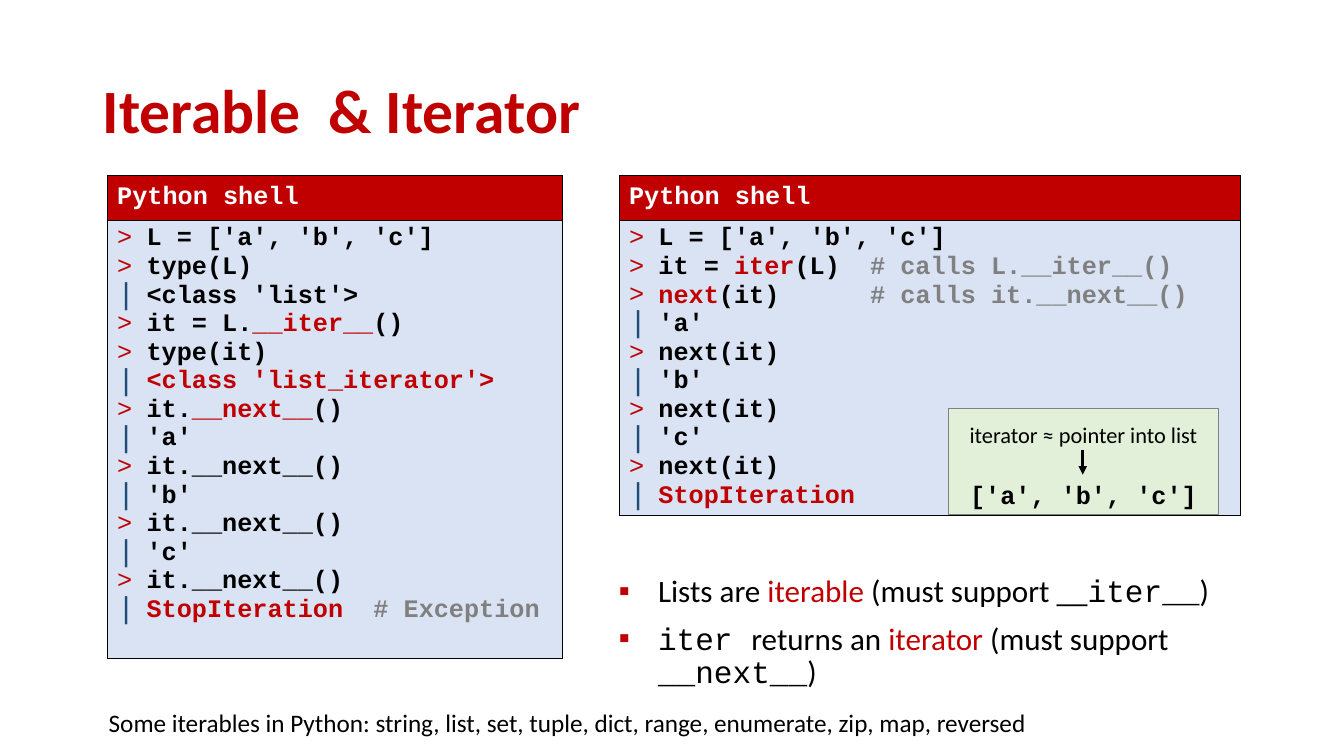
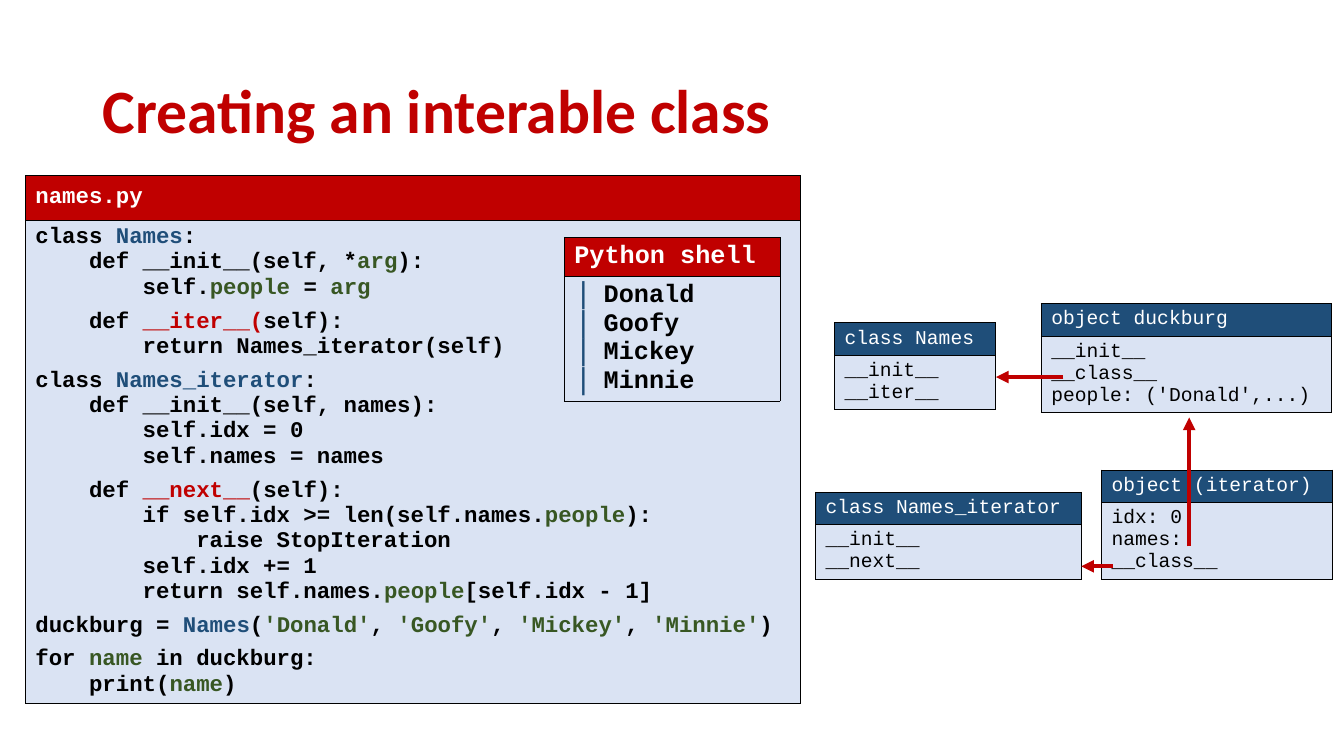
"""Build two slides on Python iterables and iterators."""
from lxml.etree import SubElement
from pptx import Presentation
from pptx.dml.color import RGBColor
from pptx.enum.shapes import MSO_CONNECTOR as Connector, MSO_SHAPE as Preset
from pptx.enum.text import MSO_ANCHOR as Anchor, MSO_AUTO_SIZE as AutoSize, PP_ALIGN as Align
from pptx.oxml.ns import qn
from pptx.util import Cm, Pt

SANS, MONO = "Calibri", "Courier New"
COLOURS = {"black": "000000", "white": "FFFFFF", "red": "C00000", "blue": "1F4E79",
           "green": "385723", "grey": "808080", "pale": "DAE3F3", "mint": "E2F0D9"}
PROMPTS = {">": ("red", 100), "|": ("blue", 120)}
BLOCK_GAP = 6
CM_PER_POINT = 2.54 / 72
MONO_LINE = 1.133
CELL_PADDING = 0.25

LIST_SHELL = """> L = ['a', 'b', 'c']
> type(L)
| <class 'list'>
> it = L.{red|__iter__}()
> type(it)
| {red|<class 'list_iterator'>}
> it.{red|__next__}()
| 'a'
> it.__next__()
| 'b'
> it.__next__()
| 'c'
> it.__next__()
| {red|StopIteration  }{grey|# Exception}"""

ITER_SHELL = """> L = ['a', 'b', 'c']
> it = {red|iter}(L)  {grey|# calls L.__iter__()}
> {red|next}(it)      {grey|# calls it.__next__()}
| 'a'
> next(it)
| 'b'
> next(it)
| 'c'
> next(it)
| {red|StopIteration}"""

NAMES_CODE = """class {blue|Names}:
    def __init__(self, *{green|arg}):
        self.{green|people} = {green|arg}

    def {red|__iter__(}self):
        return Names_iterator(self)

class {blue|Names_iterator}:
    def __init__(self, names):
        self.idx = 0
        self.names = names

    def {red|__next__}(self):
        if self.idx >= len(self.names.{green|people}):
            raise StopIteration
        self.idx += 1
        return self.names.{green|people}[self.idx - 1]

duckburg = {blue|Names}({green|'Donald'}, {green|'Goofy'}, {green|'Mickey'}, {green|'Minnie'})

for {green|name} in duckburg:
    print({green|name})"""

NAMES_SHELL = "| Donald\n| Goofy\n| Mickey\n| Minnie"

BULLETS = ["Lists are {red|iterable} (must support __{code|iter__})",
           "{code|iter }returns an {red|iterator }(must support {code|__next__})"]

OBJECTS = [
    (21.03, 8.13, 4.06, "class Names", "__init__\n__iter__"),
    (26.24, 7.65, 7.32, "object duckburg", "__init__\n__class__\npeople: ('Donald',...)"),
    (20.55, 12.4, 6.71, "class Names_iterator", "__init__\n__next__"),
    (27.76, 11.84, 5.82, "object (iterator)", "idx: 0\nnames:\n__class__"),
]
LINKS = [((29.97, 13.77), (29.97, 10.52)),
         ((26.8, 9.5), (25.1, 9.5)),
         ((28.04, 14.27), (27.25, 14.27))]


def rgb(name):
    """Return the named colour as an RGBColor."""
    return RGBColor.from_string(COLOURS[name])


def split_markup(markup):
    """Yield (words, style) pairs from text marked as {style|words}."""
    for piece in markup.split("{"):
        marked, found, plain = piece.rpartition("}")
        if found:
            style, words = marked.split("|", 1)
            yield words, style
        if plain:
            yield plain, ""


def write(para, markup, size, font=SANS, colour="black", bold=False):
    """Add marked text to a paragraph run by run."""
    for words, style in split_markup(markup):
        span = para.add_run()
        span.text = words
        span.font.name = MONO if style == "code" else font
        span.font.size = Pt(size)
        span.font.bold = bold
        span.font.color.rgb = rgb(style if style in COLOURS else colour)


def add_bullet(para, mark, colour, percent, indent, font):
    """Give a paragraph a coloured hanging bullet."""
    props = para._p.get_or_add_pPr()
    props.set("marL", str(Cm(indent)))
    props.set("indent", str(-Cm(indent)))
    tint = SubElement(props, qn("a:buClr"))
    SubElement(tint, qn("a:srgbClr"), val=COLOURS[colour])
    SubElement(props, qn("a:buSzPct"), val=str(percent * 1000))
    SubElement(props, qn("a:buFont"), typeface=font)
    SubElement(props, qn("a:buChar"), char=mark)


def next_para(frame, index):
    """Return the first paragraph of a frame, or a new one after it."""
    return frame.add_paragraph() if index else frame.paragraphs[0]


def place(shape, left, top, width, height):
    """Move and size a shape, in centimetres."""
    shape.left, shape.top = Cm(left), Cm(top)
    shape.width, shape.height = Cm(width), Cm(height)


def add_page(deck, layout, title):
    """Add a slide with the shared title style."""
    page = deck.slides.add_slide(deck.slide_layouts[layout])
    heading = page.shapes.title
    place(heading, 2.34, 1.02, 29.21, 3.68)
    frame = heading.text_frame
    frame.auto_size = AutoSize.NONE
    frame.vertical_anchor = Anchor.MIDDLE
    para = frame.paragraphs[0]
    para.alignment = Align.LEFT
    para.line_spacing = 0.9
    write(para, title, 44, colour="red", bold=True)
    return page


def style_cell(cell, fill):
    """Fill a cell and draw its thin black borders."""
    props = cell._tc.get_or_add_tcPr()
    for side in ("lnL", "lnR", "lnT", "lnB"):
        border = SubElement(props, qn(f"a:{side}"), w=str(Pt(0.5)))
        paint = SubElement(border, qn("a:solidFill"))
        SubElement(paint, qn("a:srgbClr"), val=COLOURS["black"])
    cell.fill.solid()
    cell.fill.fore_color.rgb = rgb(fill)


def row_height(lines, size, gaps=0):
    """Return the height in centimetres that lines of code need."""
    points = lines * size * MONO_LINE + gaps * BLOCK_GAP
    return points * CM_PER_POINT + CELL_PADDING


def add_panel(page, left, top, width, title, code, size=18, head="red",
              bold=True, head_height=0, body_height=0):
    """Add a two-row table with a title above lines of code."""
    blocks = [block.split("\n") for block in code.split("\n\n")]
    lines = sum(len(block) for block in blocks)
    heights = (max(head_height, row_height(1, size)),
               max(body_height, row_height(lines, size, len(blocks) - 1)))
    table = page.shapes.add_table(2, 1, Cm(left), Cm(top), Cm(width), Cm(sum(heights))).table
    table.first_row = table.horz_banding = False
    for row, height in zip(table.rows, heights):
        row.height = Cm(height)
    header, body = table.cell(0, 0), table.cell(1, 0)
    style_cell(header, head)
    style_cell(body, "pale")
    header.vertical_anchor = Anchor.MIDDLE
    write(header.text_frame.paragraphs[0], title, size, MONO, "white", bold)
    index = 0
    for block in blocks:
        for line in block:
            para = next_para(body.text_frame, index)
            index += 1
            if line[0] in PROMPTS:
                add_bullet(para, line[0], *PROMPTS[line[0]], 0.74, MONO)
                line = line[2:]
            write(para, line, size, MONO, bold=bold)
        if block is not blocks[-1]:
            para.space_after = Pt(BLOCK_GAP)


def add_arrow(page, start, end, colour, weight):
    """Draw a straight arrow between two points in centimetres."""
    arrow = page.shapes.add_connector(Connector.STRAIGHT, *map(Cm, start + end))
    arrow.line.color.rgb = rgb(colour)
    arrow.line.width = Pt(weight)
    SubElement(arrow.line._get_or_add_ln(), qn("a:tailEnd"), type="triangle")
    SubElement(arrow._element.spPr, qn("a:effectLst"))


def add_bullets(page, left, top, width, height):
    """Fill the body placeholder with the bullet list."""
    body = page.placeholders[1]
    place(body, left, top, width, height)
    frame = body.text_frame
    frame.auto_size = AutoSize.NONE
    for index, markup in enumerate(BULLETS):
        para = next_para(frame, index)
        para.line_spacing = 0.9
        para.space_before = Pt(10 if index else 0)
        add_bullet(para, "▪", "red", 100, 0.99, SANS)
        write(para, markup, 22.2)


def add_note(page, left, top, width, height):
    """Add the line that names some iterables."""
    frame = page.shapes.add_textbox(Cm(left), Cm(top), Cm(width), Cm(height)).text_frame
    frame.word_wrap = True
    write(frame.paragraphs[0], "Some iterables in Python: string, list, set, tuple, dict, "
          "range, enumerate, zip, map, reversed", 18)


def add_pointer_box(page, left, top, width, height):
    """Add the box that pictures an iterator as a pointer."""
    box = page.shapes.add_shape(Preset.RECTANGLE, Cm(left), Cm(top), Cm(width), Cm(height))
    box.shadow.inherit = False
    box.fill.solid()
    box.fill.fore_color.rgb = rgb("mint")
    box.line.color.rgb = rgb("grey")
    box.line.width = Pt(0.75)
    frame = box.text_frame
    frame.word_wrap = True
    frame.vertical_anchor = Anchor.BOTTOM
    caption, items = frame.paragraphs[0], frame.add_paragraph()
    caption.alignment = items.alignment = Align.CENTER
    items.space_before = Pt(22)
    write(caption, "iterator ≈ pointer into list", 16)
    write(items, "['a', 'b', 'c']", 18, MONO, bold=True)
    middle = left + width / 2 - 0.02
    add_arrow(page, (middle, top + 1.04), (middle, top + 1.67), "black", 2)


def build_iterator_page(deck):
    """Build the slide on iterables and iterators."""
    page = add_page(deck, 1, "Iterable  & Iterator")
    add_panel(page, 2.7, 4.42, 11.48, "Python shell", LIST_SHELL,
              head_height=1.12, body_height=11.05)
    add_panel(page, 15.6, 4.42, 15.65, "Python shell", ITER_SHELL, head_height=1.12)
    add_bullets(page, 15.34, 14.38, 18.54, 2.77)
    add_note(page, 2.49, 17.7, 24.08, 1.02)
    add_pointer_box(page, 23.9, 10.29, 6.81, 2.67)


def build_class_page(deck):
    """Build the slide on a class with its own iterator."""
    page = add_page(deck, 5, "Creating an interable class")
    add_panel(page, 0.64, 4.42, 19.53, "names.py", NAMES_CODE, size=16, head_height=1.12)
    add_panel(page, 14.22, 5.99, 5.44, "Python shell", NAMES_SHELL)
    for left, top, width, title, members in OBJECTS:
        add_panel(page, left, top, width, title, members, size=14, head="blue", bold=False)
    for start, end in LINKS:
        add_arrow(page, start, end, "red", 3)


def main():
    """Build and save the deck."""
    deck = Presentation()
    deck.slide_width, deck.slide_height = Cm(33.87), Cm(19.05)
    build_iterator_page(deck)
    build_class_page(deck)
    deck.save("out.pptx")


if __name__ == "__main__":
    main()
